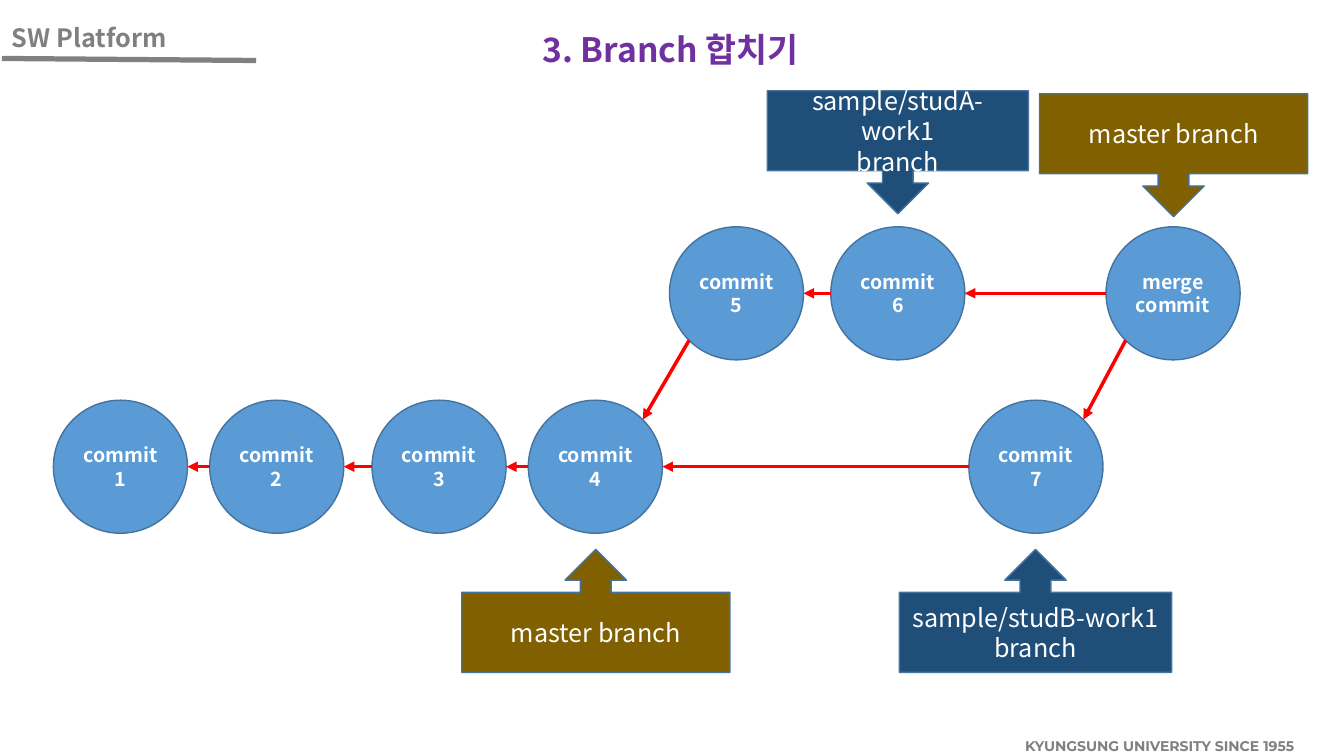
from dataclasses import dataclass

import pptx
import pptx.dml.color
import pptx.enum.shapes
import pptx.enum.text
import pptx.oxml
import pptx.oxml.ns
import pptx.util
from pptx.util import Inches

SHAPE = pptx.enum.shapes.MSO_SHAPE
ALIGN = pptx.enum.text.PP_ALIGN
ANCHOR = pptx.enum.text.MSO_ANCHOR


@dataclass(frozen=True)
class Theme:
    """Colours, fonts and type sizes of the deck."""
    font: str = "Noto Sans CJK KR"
    footer_font: str = "Montserrat"
    grey: str = "808080"
    purple: str = "7030A0"
    white: str = "FFFFFF"
    commit: str = "5B9BD5"
    outline: str = "43739E"
    arrow: str = "FF0000"
    master: str = "806000"
    topic: str = "1F4E79"
    title_size: int = 24
    label_size: int = 18
    commit_size: int = 14
    footer_size: int = 10


THEME = Theme()
DIAMETER_X, DIAMETER_Y = 1.33, 1.32
UPPER_ROW, LOWER_ROW = 2.25, 3.97
CALLOUT_HEIGHT = 1.22
COMMITS = {
    "commit 1": (0.53, LOWER_ROW),
    "commit 2": (2.08, LOWER_ROW),
    "commit 3": (3.69, LOWER_ROW),
    "commit 4": (5.24, LOWER_ROW),
    "commit 5": (6.64, UPPER_ROW),
    "commit 6": (8.24, UPPER_ROW),
    "commit 7": (9.61, LOWER_ROW),
    "merge\ncommit": (10.97, UPPER_ROW),
}
PARENTS = [
    ("commit 7", "commit 4"),
    ("commit 4", "commit 3"),
    ("commit 3", "commit 2"),
    ("commit 2", "commit 1"),
    ("commit 5", "commit 4"),
    ("commit 6", "commit 5"),
    ("merge\ncommit", "commit 6"),
    ("merge\ncommit", "commit 7"),
]
BRANCHES = [
    ("master branch", SHAPE.UP_ARROW_CALLOUT, THEME.master, 4.58, 5.45, 2.66),
    ("sample/studB-work1\nbranch", SHAPE.UP_ARROW_CALLOUT, THEME.topic, 8.92, 5.45, 2.7),
    ("sample/studA-work1\nbranch", SHAPE.DOWN_ARROW_CALLOUT, THEME.topic, 7.61, 0.9, 2.59),
    ("master branch", SHAPE.DOWN_ARROW_CALLOUT, THEME.master, 10.31, 0.93, 2.66),
]


def rgb(value):
    """Turn a hex string into a colour."""
    return pptx.dml.color.RGBColor.from_string(value)


def write(shape, text, size, color, bold=False, align=ALIGN.CENTER,
          anchor=ANCHOR.MIDDLE, wrap=True, font=THEME.font):
    """Fill a shape with uniformly formatted paragraphs."""
    frame = shape.text_frame
    frame.text = text
    frame.word_wrap = wrap
    frame.auto_size = pptx.enum.text.MSO_AUTO_SIZE.NONE
    frame.vertical_anchor = anchor
    frame.margin_left = frame.margin_right = Inches(0.1)
    frame.margin_top = frame.margin_bottom = Inches(0.05)
    for para in frame.paragraphs:
        para.alignment = align
        para.font.name = font
        para.font.size = pptx.util.Pt(size)
        para.font.bold = bold
        para.font.color.rgb = rgb(color)


def add_line(page, start, end, color, width, arrow=False):
    """Draw a straight line, with an arrowhead at its end if asked."""
    line = page.shapes.add_connector(
        pptx.enum.shapes.MSO_CONNECTOR.STRAIGHT, *map(Inches, start + end))
    line.line.color.rgb = rgb(color)
    line.line.width = pptx.util.Pt(width)
    if arrow:
        tail = pptx.oxml.parse_xml(
            f'<a:tailEnd {pptx.oxml.ns.nsdecls("a")} type="triangle"/>')
        line.line._get_or_add_ln().append(tail)
    effects = pptx.oxml.parse_xml(f'<a:effectLst {pptx.oxml.ns.nsdecls("a")}/>')
    line._element.spPr.append(effects)


def add_block(page, kind, fill, box, text, size, bold=False):
    """Add a filled, outlined shape with centred white text."""
    block = page.shapes.add_shape(kind, *map(Inches, box))
    block.shadow.inherit = False
    block.fill.solid()
    block.fill.fore_color.rgb = rgb(fill)
    block.line.color.rgb = rgb(THEME.outline)
    block.line.width = pptx.util.Pt(1)
    write(block, text, size, THEME.white, bold)


def rim(name, side, rise=0):
    """Find a point on a commit's rim: side -1 is left, rise 1 is lower."""
    left, top = COMMITS[name]
    reach = 0.5 ** 0.5 if rise else 1
    return (left + DIAMETER_X / 2 * (1 + side * reach),
            top + DIAMETER_Y / 2 * (1 + rise * reach))


def add_header(page, left, top):
    """Place the course name and its underline."""
    label = page.shapes.add_textbox(*map(Inches, (left, top, 1.73, 0.4)))
    write(label, "SW Platform", THEME.label_size, THEME.grey, True,
          ALIGN.LEFT, ANCHOR.TOP, False)
    add_line(page, (left, top + 0.41), (left + 2.52, top + 0.43), THEME.grey, 3.75)


def add_footer(page, left, top):
    """Place the university line."""
    footer = page.shapes.add_textbox(*map(Inches, (left, top, 3.19, 0.28)))
    write(footer, "KYUNGSUNG UNIVERSITY SINCE 1955", THEME.footer_size, THEME.grey,
          True, ALIGN.LEFT, ANCHOR.TOP, font=THEME.footer_font)


def add_title(page, left, top, width, height):
    """Move and format the title placeholder."""
    title = page.shapes.title
    title.left, title.top, title.width, title.height = map(
        Inches, (left, top, width, height))
    write(title, "3. Branch 합치기", THEME.title_size, THEME.purple, True,
          anchor=ANCHOR.TOP, wrap=False)


def add_history(page):
    """Draw the commits, the arrows to their parents and the branch labels."""
    for name, (left, top) in COMMITS.items():
        add_block(page, SHAPE.OVAL, THEME.commit, (left, top, DIAMETER_X, DIAMETER_Y),
                  name, THEME.commit_size, True)
    for child, parent in PARENTS:
        rise = int(COMMITS[child][1] < COMMITS[parent][1])
        add_line(page, rim(child, -1, rise), rim(parent, 1, -rise),
                 THEME.arrow, 2.5, True)
    for text, kind, fill, left, top, width in BRANCHES:
        add_block(page, kind, fill, (left, top, width, CALLOUT_HEIGHT),
                  text, THEME.label_size)


def main():
    """Build and save the deck."""
    deck = pptx.Presentation()
    deck.slide_width, deck.slide_height = Inches(13.33), Inches(7.5)
    page = deck.slides.add_slide(deck.slide_layouts[5])
    add_footer(page, 10.07, 7.27)
    add_header(page, 0.02, 0.17)
    add_history(page)
    add_title(page, 5.23, 0.24, 2.84, 0.5)
    deck.save("out.pptx")


if __name__ == "__main__":
    main()
